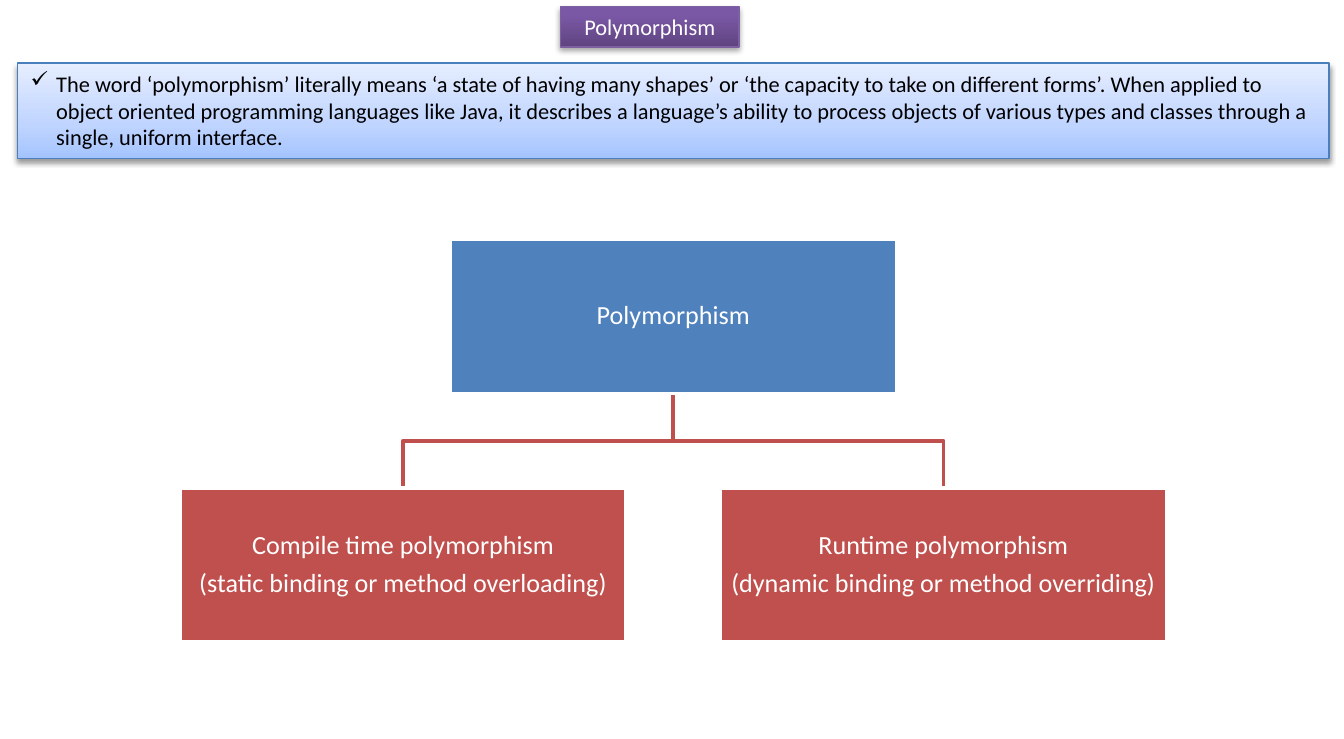
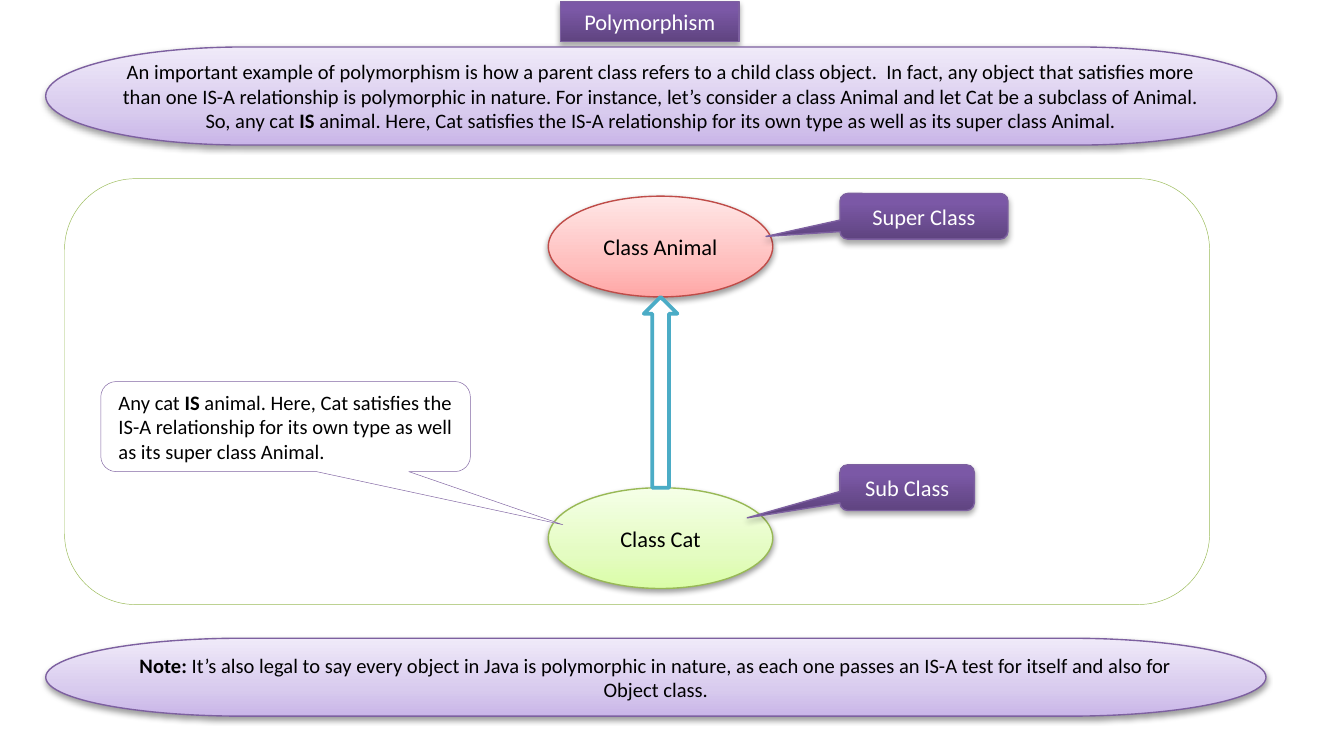
"""Build two slides that explain polymorphism with a tree and a class diagram."""
from copy import deepcopy

from lxml.etree import SubElement
from pptx import Presentation
from pptx.dml.color import RGBColor as Rgb
from pptx.enum.shapes import MSO_SHAPE as Kind
from pptx.enum.text import MSO_ANCHOR as Anchor
from pptx.enum.text import MSO_AUTO_SIZE as AutoSize
from pptx.enum.text import PP_ALIGN as Align
from pptx.oxml.ns import qn
from pptx.util import Pt

SCALE = 9144
FONT = "Calibri"
COLORS = {
    "white": "FFFFFF",
    "black": "000000",
    "blue": "4F81BD",
    "red": "C0504D",
    "olive": "9BBB59",
    "purple": "8064A2",
    "teal": "4BACC6",
    "violet low": "5F4480", "violet mid": "7B58A6",
    "violet high": "7C57A8", "violet edge": "7D60A0",
    "sky low": "A4C4FF", "sky mid": "BFD4FF",
    "sky high": "E6EEFF", "sky edge": "4B7EBC",
    "rose low": "FFA6A5", "rose mid": "FFC0BF",
    "rose high": "FFE7E7", "rose edge": "BF4C48",
    "lime low": "DAFDA7", "lime mid": "E4FCC2",
    "lime high": "F5FFE7", "lime edge": "98B955",
    "lilac low": "C9B5E8", "lilac mid": "D8CBEE",
    "lilac high": "F0EAF9", "lilac edge": "7D60A0",
}


def px(length):
    return length * SCALE


def color(name):
    return Rgb.from_string(COLORS[name])


class Painter:
    def __init__(self, width, height):
        self.deck = Presentation()
        self.deck.slide_width, self.deck.slide_height = px(width), px(height)
        self.page = None

    def new_page(self, title, top):
        self.page = self.deck.slides.add_slide(self.deck.slide_layouts[5])
        box = self.page.shapes.title
        box.left, box.top, box.width, box.height = map(px, (417, top, 133, 30))
        self.glossy(box, "violet")
        self.put_text(box, [[title]], ink="white", anchor=Anchor.TOP)

    def outline(self, shape, name, width):
        shape.line.color.rgb = color(name)
        shape.line.width = Pt(width)

    def glossy(self, shape, tint):
        strong = tint == "violet"
        shape.fill.gradient()
        shape.fill.gradient_angle = 90
        stop_list = shape._element.spPr.find(".//" + qn("a:gsLst"))
        stop_list.append(deepcopy(stop_list[0]))
        places = (0, 0.8 if strong else 0.35, 1)
        for stop, place, level in zip(shape.fill.gradient_stops, places, ("low", "mid", "high")):
            stop.position = place
            stop.color.rgb = color(f"{tint} {level}")
        self.outline(shape, f"{tint} edge", 0.75)
        shape.shadow.inherit = False
        effects = shape._element.spPr.find(qn("a:effectLst"))
        shadow = SubElement(effects, qn("a:outerShdw"), blurRad="40000",
                            dist="23000" if strong else "20000", dir="5400000", rotWithShape="0")
        shade = SubElement(shadow, qn("a:srgbClr"), val=COLORS["black"])
        SubElement(shade, qn("a:alpha"), val="35000" if strong else "38000")

    def shape(self, kind, left, top, width, height, adjust=()):
        shape = self.page.shapes.add_shape(kind, *map(px, (left, top, width, height)))
        for index, value in enumerate(adjust):
            shape.adjustments[index] = value
        return shape

    def glossy_shape(self, kind, *place, tint, adjust=()):
        shape = self.shape(kind, *place, adjust=adjust)
        self.glossy(shape, tint)
        return shape

    def flat_shape(self, kind, *place, fill, line, width, adjust=()):
        shape = self.shape(kind, *place, adjust=adjust)
        shape.shadow.inherit = False
        shape.fill.solid()
        shape.fill.fore_color.rgb = color(fill)
        self.outline(shape, line, width)
        return shape

    def branch(self, points, line, width):
        builder = self.page.shapes.build_freeform(*points[0], scale=SCALE)
        builder.add_line_segments(points[1:], close=False)
        elbow = builder.convert_to_shape()
        elbow.shadow.inherit = False
        elbow.fill.background()
        self.outline(elbow, line, width)

    def put_text(self, shape, lines, size=12, ink="black", align=Align.CENTER,
                 anchor=Anchor.MIDDLE, inset=None, leading=None, after=None, bullet=None):
        frame = shape.text_frame
        frame.word_wrap = True
        frame.auto_size = AutoSize.NONE
        frame.vertical_anchor = anchor
        if inset is not None:
            frame.margin_left = frame.margin_right = px(inset)
            frame.margin_top = frame.margin_bottom = px(inset)
        for index, spans in enumerate(lines):
            para = frame.add_paragraph() if index else frame.paragraphs[0]
            para.alignment = align
            if leading:
                para.line_spacing = leading
            if after:
                para.space_after = Pt(after)
            if bullet:
                settings = para._p.get_or_add_pPr()
                settings.set("marL", str(px(19)))
                settings.set("indent", str(px(-19)))
                SubElement(settings, qn("a:buChar"), char=bullet)
            for text in spans:
                self.put_span(para, text, size, ink, text in ("IS", "Note:"))

    def put_span(self, para, text, size, ink, bold):
        span = para.add_run()
        span.text = text
        span.font.name = FONT
        span.font.size = Pt(size)
        span.font.bold = bold
        span.font.color.rgb = color(ink)


def definition_page(painter):
    painter.new_page("Polymorphism", 5)
    intro = painter.glossy_shape(Kind.RECTANGLE, 13, 47, 976, 71, tint="sky")
    painter.put_text(intro, [[
        "The word ‘polymorphism’ literally means ‘a state of having many shapes’ or ‘the capacity "
        "to take on different forms’. When applied to object oriented programming languages like "
        "Java, it describes a language’s ability to process objects of various types and classes "
        "through a single, uniform interface."]],
        align=Align.LEFT, anchor=Anchor.TOP, bullet="✓")

    middle, spread, width, height = 501, 201, 332, 115
    root_top, child_top = 178, 363
    root_bottom = root_top + height
    bend = (root_bottom + child_top) // 2
    left_center, right_center = middle - spread, middle + spread
    for center in (right_center, left_center):
        painter.branch([(middle, root_bottom), (middle, bend), (center, bend),
                        (center, child_top)], "red", 2)
    nodes = (
        (middle, root_top, "blue", [["Polymorphism"]]),
        (left_center, child_top, "red",
         [["Compile time polymorphism"], ["(static binding or method overloading)"]]),
        (right_center, child_top, "red",
         [["Runtime polymorphism"], ["(dynamic binding or method overriding)"]]),
    )
    for center, top, fill, lines in nodes:
        node = painter.flat_shape(Kind.RECTANGLE, center - width // 2, top, width, height,
                                  fill=fill, line="white", width=2)
        painter.put_text(node, lines, size=14, ink="white", inset=1, leading=0.9, after=5)


def example_page(painter):
    painter.new_page("Polymorphism", 1)
    painter.flat_shape(Kind.ROUNDED_RECTANGLE, 48, 133, 852, 317,
                       fill="white", line="olive", width=0.25)
    for name, top, tint in (("Class Animal", 146, "rose"), ("Class Cat", 363, "lime")):
        oval = painter.glossy_shape(Kind.OVAL, 408, top, 167, 75, tint=tint)
        painter.put_text(oval, [[name]])
    painter.flat_shape(Kind.UP_ARROW, 479, 221, 25, 142, fill="white", line="teal", width=2)

    labels = (("Sub Class", 346, 100, (-1.19, 0.66, 0.17)),
              ("Super Class", 144, 125, (-0.94, 0.44, 0.17)))
    for name, top, width, adjust in labels:
        label = painter.glossy_shape(Kind.ROUNDED_RECTANGULAR_CALLOUT, 625, top, width, 34,
                                     tint="violet", adjust=adjust)
        painter.put_text(label, [[name]], ink="white")

    relation = (" animal. Here, Cat satisfies the IS-A relationship for its own type "
                "as well as its super class Animal.")
    remark = painter.flat_shape(Kind.ROUNDED_RECTANGULAR_CALLOUT, 75, 284, 275, 67, fill="white",
                                line="purple", width=0.25, adjust=(0.75, 1.09, 0.17))
    painter.put_text(remark, [["Any cat ", "IS", relation]], size=11, align=Align.LEFT)

    bands = (
        (475, 908, 58, [
            "Note:",
            " It’s also legal to say every object in Java is polymorphic in nature, as each one "
            "passes an IS-A test for itself and also for Object class."]),
        (35, 916, 73, [
            "An important example of polymorphism is how a parent class refers to a child class "
            "object.  In fact, any object that satisfies more than one IS-A relationship is "
            "polymorphic in nature. For instance, let’s consider a class Animal and let Cat be a "
            "subclass of Animal. So, any cat ",
            "IS", relation]),
    )
    for top, width, height, spans in bands:
        band = painter.glossy_shape(Kind.FLOWCHART_TERMINATOR, 34, top, width, height,
                                    tint="lilac")
        painter.put_text(band, [spans], size=11)


def main():
    painter = Painter(1000, 550)
    definition_page(painter)
    example_page(painter)
    painter.deck.save("out.pptx")


if __name__ == "__main__":
    main()
